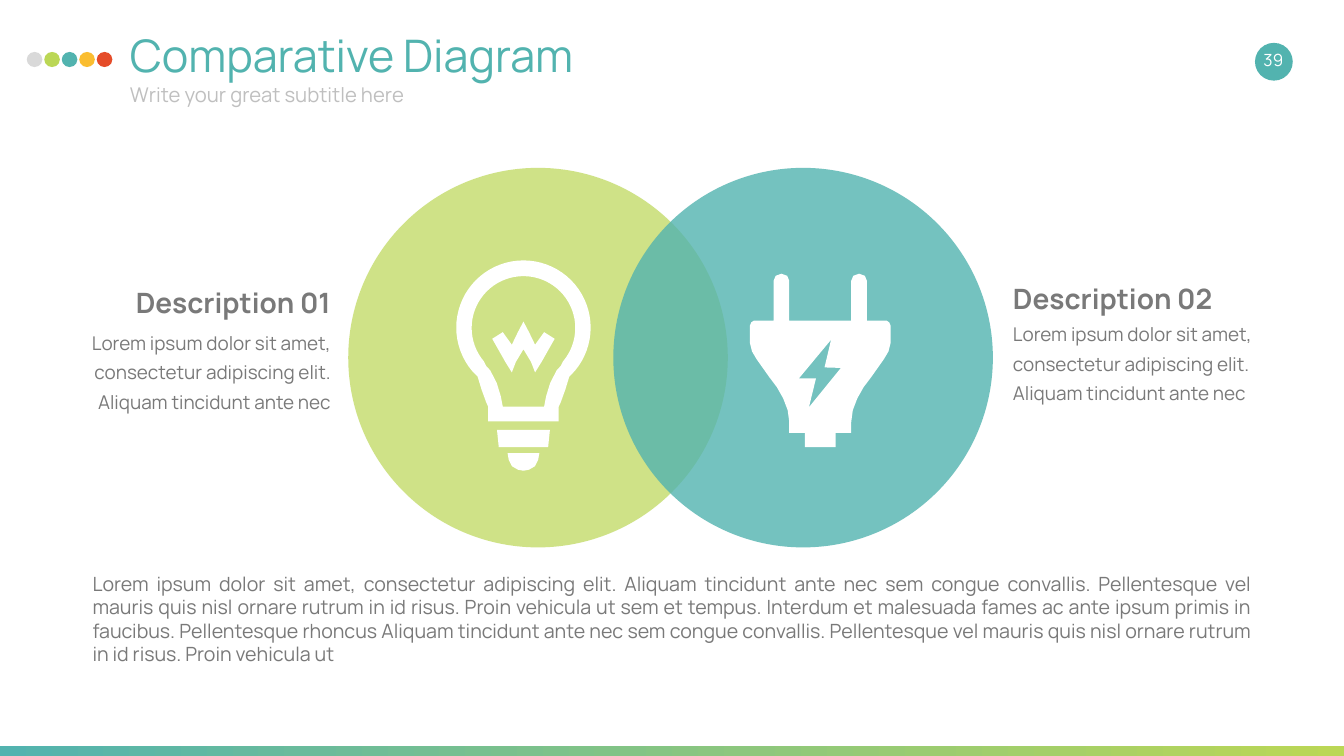
from dataclasses import dataclass
from math import cos, radians, sin

from lxml.etree import SubElement
from pptx import Presentation
from pptx.dml.color import RGBColor as RGB
from pptx.enum.shapes import MSO_SHAPE as Kind
from pptx.enum.text import MSO_ANCHOR as Anchor, MSO_AUTO_SIZE as Auto, PP_ALIGN as Align
from pptx.oxml.ns import qn
from pptx.util import Pt


@dataclass(frozen=True)
class Theme:
    font: str = "Manrope"
    teal: str = "52B3AF"
    lime: str = "BBD755"
    red: str = "E54C29"
    amber: str = "FABD30"
    grey: str = "D9D9D9"
    pale: str = "BFBFBF"
    text: str = "797979"
    white: str = "FFFFFF"
    title: int = 64
    sub: int = 29
    head: int = 40
    body: int = 27
    note: int = 28
    page: int = 24


T = Theme()
WIDE, HIGH = 1920, 1080
TIGHT, BASE, ROOMY = (7.2, 0), (7.2, 3.6), (19.2, 9.6)
LOREM = "Lorem ipsum dolor sit amet, consectetur adipiscing elit. Aliquam tincidunt ante nec"
NOTE = (LOREM + " sem congue convallis. Pellentesque vel mauris quis nisl ornare rutrum in id risus. "
        "Proin vehicula ut sem et tempus. Interdum et malesuada fames ac ante ipsum primis in "
        "faucibus. Pellentesque rhoncus Aliquam tincidunt ante nec sem congue convallis. "
        "Pellentesque vel mauris quis nisl ornare rutrum in id risus. Proin vehicula ut")


def paint(shape, color, alpha=100):
    shape.shadow.inherit = False
    shape.line.fill.background()
    shape.fill.solid()
    shape.fill.fore_color.rgb = RGB.from_string(color)
    if alpha < 100:
        tint = shape.element.spPr.find(".//" + qn("a:srgbClr"))
        SubElement(tint, qn("a:alpha"), val=str(alpha * 1000))


def disc(slide, box, color, alpha=100):
    shape = slide.shapes.add_shape(Kind.OVAL, *map(Pt, box))
    paint(shape, color, alpha)


def band(slide, box, left, right):
    """Draw a bar that blends from one colour to another."""
    bar = slide.shapes.add_shape(Kind.RECTANGLE, *map(Pt, box))
    bar.shadow.inherit = False
    bar.line.fill.background()
    bar.fill.gradient()
    bar.fill.gradient_angle = 0
    for stop, color, place in zip(bar.fill.gradient_stops, (left, right), (0, 1)):
        stop.color.rgb = RGB.from_string(color)
        stop.position = place


def write(slide, box, text, size, color, pad=ROOMY, align=Align.LEFT,
          anchor=Anchor.MIDDLE, bold=False, lead=None, grow=False):
    frame = slide.shapes.add_textbox(*map(Pt, box)).text_frame
    frame.word_wrap = True
    frame.auto_size = Auto.SHAPE_TO_FIT_TEXT if grow else Auto.NONE
    frame.vertical_anchor = anchor
    frame.margin_left = frame.margin_right = Pt(pad[0])
    frame.margin_top = frame.margin_bottom = Pt(pad[1])
    para = frame.paragraphs[0]
    para.alignment = align
    if lead:
        para.line_spacing = lead
    run = para.add_run()
    run.text = text
    run.font.name = T.font
    run.font.size = Pt(size)
    run.font.bold = bold
    run.font.color.rgb = RGB.from_string(color)


def mirror(half):
    """Close a right half, given as offsets from the axis, with its left twin."""
    return half + [(-x, y) for x, y in reversed(half)]


def arc(y, size, start, end, step=5):
    """Return points on a circle centred on the axis at height y."""
    turn = range(start, end - 1, -step)
    return [(size * cos(radians(a)), y + size * sin(radians(a))) for a in turn]


def icon(slide, axis, rings):
    """Fill rings of points as one shape; inner rings become holes."""
    rings = [[(Pt(axis + x), Pt(y)) for x, y in ring] for ring in rings]
    pen = slide.shapes.build_freeform(*rings[0][0])
    for i, ring in enumerate(rings):
        if i:
            pen.move_to(*ring[0])
        pen.add_line_segments(ring[1:], close=True)
    paint(pen.convert_to_shape(), T.white)


def bulb(slide):
    glass = [(50.4, 602), (50.4, 581), (53.3, 574.6), (59.8, 556.6), (65.5, 538)]
    hollow = [(29.5, 581), (32.4, 566), (38.2, 547), (47.5, 529), (53.3, 522.7)]
    wire = [(0, 499), (10.8, 517), (16.6, 532), (25.9, 517), (44.6, 484),
            (29.5, 474.5), (16.6, 492.5), (7.9, 474.5), (0, 459.4)]
    collar = [(35.3, 638.6), (37.8, 614.2)]
    tip = [(0, 672.5), (8, 671), (16.5, 666), (21, 657), (22.7, 647.3)]
    halves = [glass + arc(468, 96, 40, -90), hollow + arc(468.5, 74, 40, -90), wire, collar, tip]
    icon(slide, 747.8, [mirror(half) for half in halves])


def plug(slide):
    half = [(22, 638.6), (22, 618.5), (44.3, 618.5), (44.3, 602.6), (46.5, 586),
            (53, 569), (62, 553), (72.4, 539.3), (91, 513), (97.5, 502), (100.4, 490.3),
            (100.4, 465), (98.5, 460.5), (94.7, 458), (66.6, 458), (66.6, 401),
            (63.7, 394), (55.5, 391), (47.2, 394), (44.3, 401), (44.3, 458)]
    bolt = [(29.5, 525.6), (-16.2, 581.8), (-6.1, 540.7), (-30.6, 540.7),
            (15.5, 485.3), (6.1, 524.9)]
    icon(slide, 1171.8, [mirror(half), bolt])


def label(slide, head, body, text, align):
    write(slide, head, text, T.head, T.text, TIGHT, align, bold=True, grow=True)
    write(slide, body, LOREM, T.body, T.text, BASE, align, lead=1.3, grow=True)


def main():
    deck = Presentation()
    deck.slide_width, deck.slide_height = Pt(WIDE), Pt(HIGH)
    slide = deck.slides.add_slide(deck.slide_layouts[6])

    band(slide, (0, 1065, WIDE, 15), T.teal, T.lime)
    disc(slide, (1792.8, 61.2, 54, 54), T.teal)
    for i, color in enumerate((T.grey, T.lime, T.teal, T.amber, T.red)):
        disc(slide, (38.2 + 25 * i, 74.2, 22.3, 21.6), color)

    label(slide, (1440, 401.8, 404.6, 48.2), (1440, 447.8, 378, 133.2),
          "Description 02", Align.LEFT)
    label(slide, (74.9, 408.2, 404.6, 48.2), (101.5, 460, 378, 133.2),
          "Description 01", Align.RIGHT)

    disc(slide, (497.5, 239.8, 542.2, 542.2), T.lime, 70)
    disc(slide, (876.2, 239.8, 542.2, 542.2), T.teal, 80)
    plug(slide)
    bulb(slide)

    write(slide, (113, 806.4, 1693.4, 154.8), NOTE, T.note, T.text,
          align=Align.JUSTIFY, grow=True)
    write(slide, (166.3, 29.5, 1530, 115.2), "Comparative Diagram", T.title, T.teal,
          anchor=Anchor.TOP)
    write(slide, (166.3, 108, 1530, 61.2), "Write your great subtitle here", T.sub, T.pale,
          anchor=Anchor.TOP)
    write(slide, (1777, 56.2, 84.2, 57.6), "39", T.page, T.white, align=Align.CENTER)
    deck.save("out.pptx")


if __name__ == "__main__":
    main()
